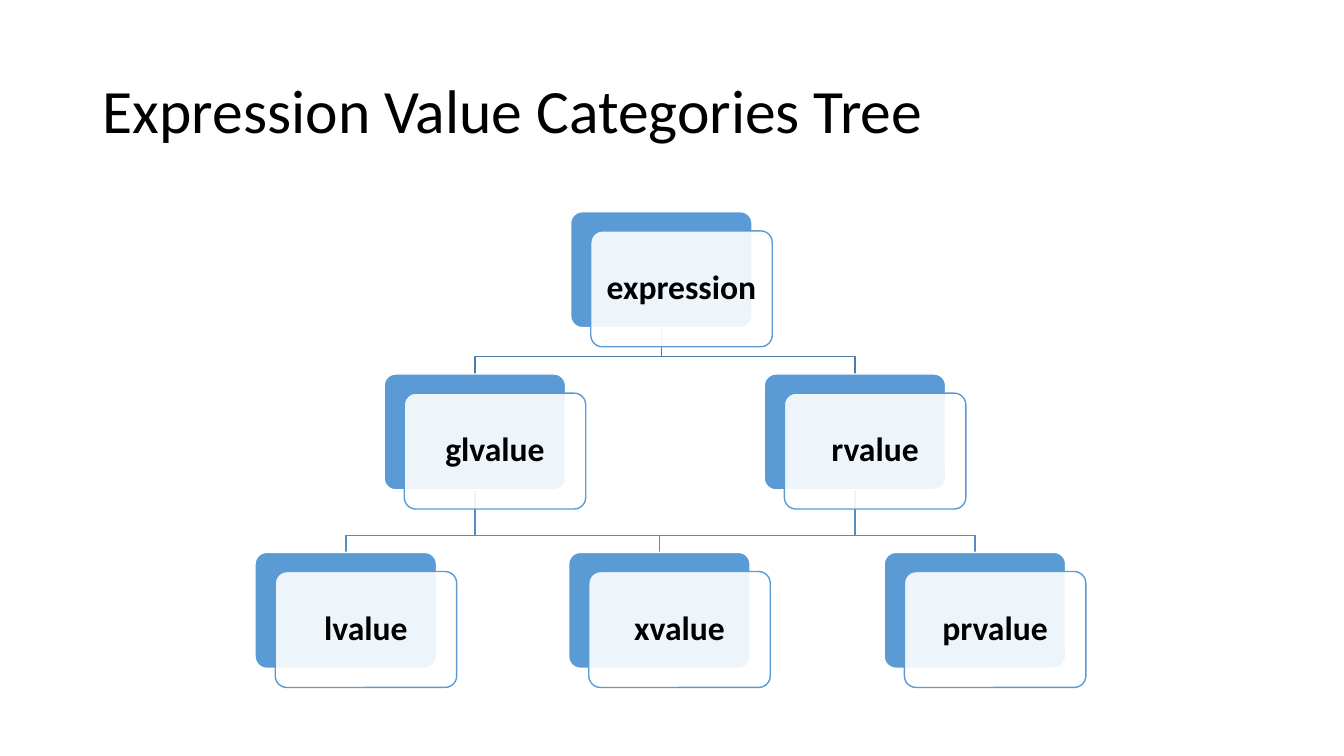
"""Build the slide with the tree of expression value categories."""
from lxml.etree import SubElement
from pptx import Presentation
from pptx.dml.color import RGBColor
from pptx.enum.shapes import MSO_SHAPE
from pptx.enum.text import MSO_ANCHOR, PP_ALIGN
from pptx.oxml.ns import qn
from pptx.util import Inches, Pt

TITLE = "Expression Value Categories Tree"
LEVELS = [
    (2.1, [("expression", 5.66)]),
    (3.71, [("glvalue", 3.81), ("rvalue", 7.58)]),
    (5.48, [("lvalue", 2.53), ("xvalue", 5.64), ("prvalue", 8.77)]),
]
LINKS = [
    ("rvalue", "prvalue", "538DC1"),
    ("rvalue", "xvalue", "538DC1"),
    ("expression", "rvalue", "497CAB"),
    ("glvalue", "xvalue", "538DC1"),
    ("glvalue", "lvalue", "538DC1"),
    ("expression", "glvalue", "497CAB"),
]
CARD_W, CARD_H, SHIFT, ELBOW = 1.8, 1.15, 0.2, 0.17
FONT, BLUE, WHITE, BLACK = "Calibri", "5B9BD5", "FFFFFF", "000000"


def rgb(color):
    return RGBColor.from_string(color)


def write(sp, text, size, align, bold=False):
    tf = sp.text_frame
    tf.text = text
    tf.word_wrap = True
    tf.vertical_anchor = MSO_ANCHOR.MIDDLE
    p = tf.paragraphs[0]
    p.alignment = align
    p.line_spacing = 0.9
    font = p.runs[0].font
    font.name, font.size, font.bold = FONT, Pt(size), bold
    font.color.rgb = rgb(BLACK)


def add_link(shapes, parent, child, color):
    x1, top1 = places[parent]
    x2, y2 = places[child]
    x1, x2 = x1 + CARD_W / 2, x2 + CARD_W / 2
    y1, bend = top1 + CARD_H, y2 - ELBOW
    start, *rest = [(Inches(x), Inches(y)) for x, y in
                    [(x1, y1), (x1, bend), (x2, bend), (x2, y2)]]
    builder = shapes.build_freeform(*start)
    builder.add_line_segments(rest, close=False)
    sp = builder.convert_to_shape()
    sp.shadow.inherit = False
    sp.fill.background()
    sp.line.color.rgb = rgb(color)
    sp.line.width = Pt(1)


def add_card(shapes, x, y, fill, line):
    sp = shapes.add_shape(MSO_SHAPE.ROUNDED_RECTANGLE, Inches(x), Inches(y),
                          Inches(CARD_W), Inches(CARD_H))
    sp.adjustments[0] = 0.1
    sp.shadow.inherit = False
    sp.fill.solid()
    sp.fill.fore_color.rgb = rgb(fill)
    sp.line.color.rgb = rgb(line)
    sp.line.width = Pt(1)
    return sp


def add_node(shapes, name, x, y):
    add_card(shapes, x, y, BLUE, WHITE)
    front = add_card(shapes, x + SHIFT, y + SHIFT - 0.01, WHITE, BLUE)
    clr = next(front.element.iter(qn("a:srgbClr")))
    SubElement(clr, qn("a:alpha")).set("val", "90000")
    write(front, name, 24, PP_ALIGN.CENTER, bold=True)
    tf = front.text_frame
    tf.margin_left = tf.margin_right = Inches(0.1)
    tf.margin_top = tf.margin_bottom = Inches(0.1)


prs = Presentation()
prs.slide_width, prs.slide_height = Inches(13.33), Inches(7.5)
s = prs.slides.add_slide(prs.slide_layouts[5])

title = s.shapes.title
title.left, title.top = Inches(0.92), Inches(0.4)
title.width, title.height = Inches(11.5), Inches(1.45)
write(title, TITLE, 44, PP_ALIGN.LEFT)

places = {name: (x, y) for y, nodes in LEVELS for name, x in nodes}
for parent, child, color in LINKS:
    add_link(s.shapes, parent, child, color)
for name, (x, y) in places.items():
    add_node(s.shapes, name, x, y)

prs.save("out.pptx")
